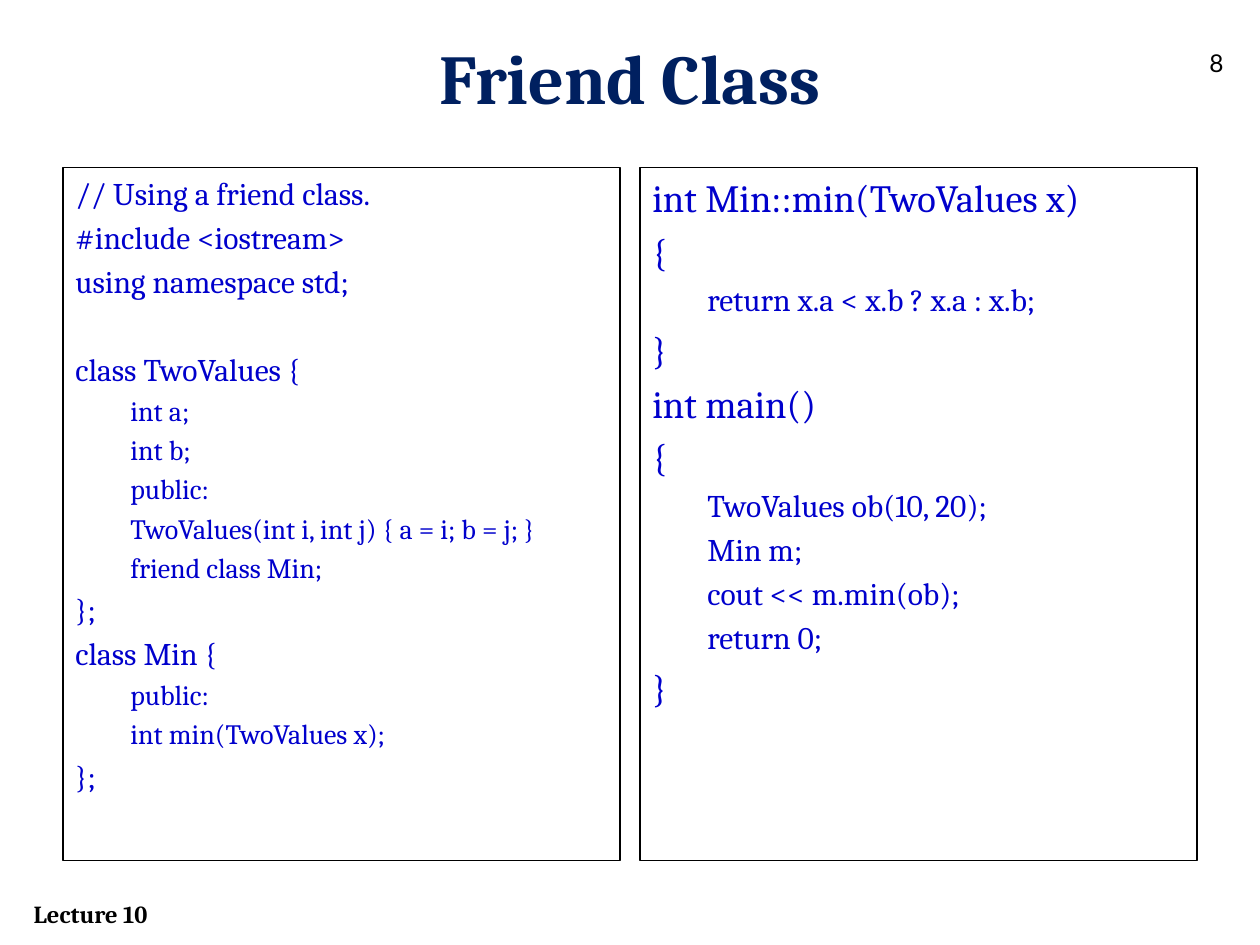
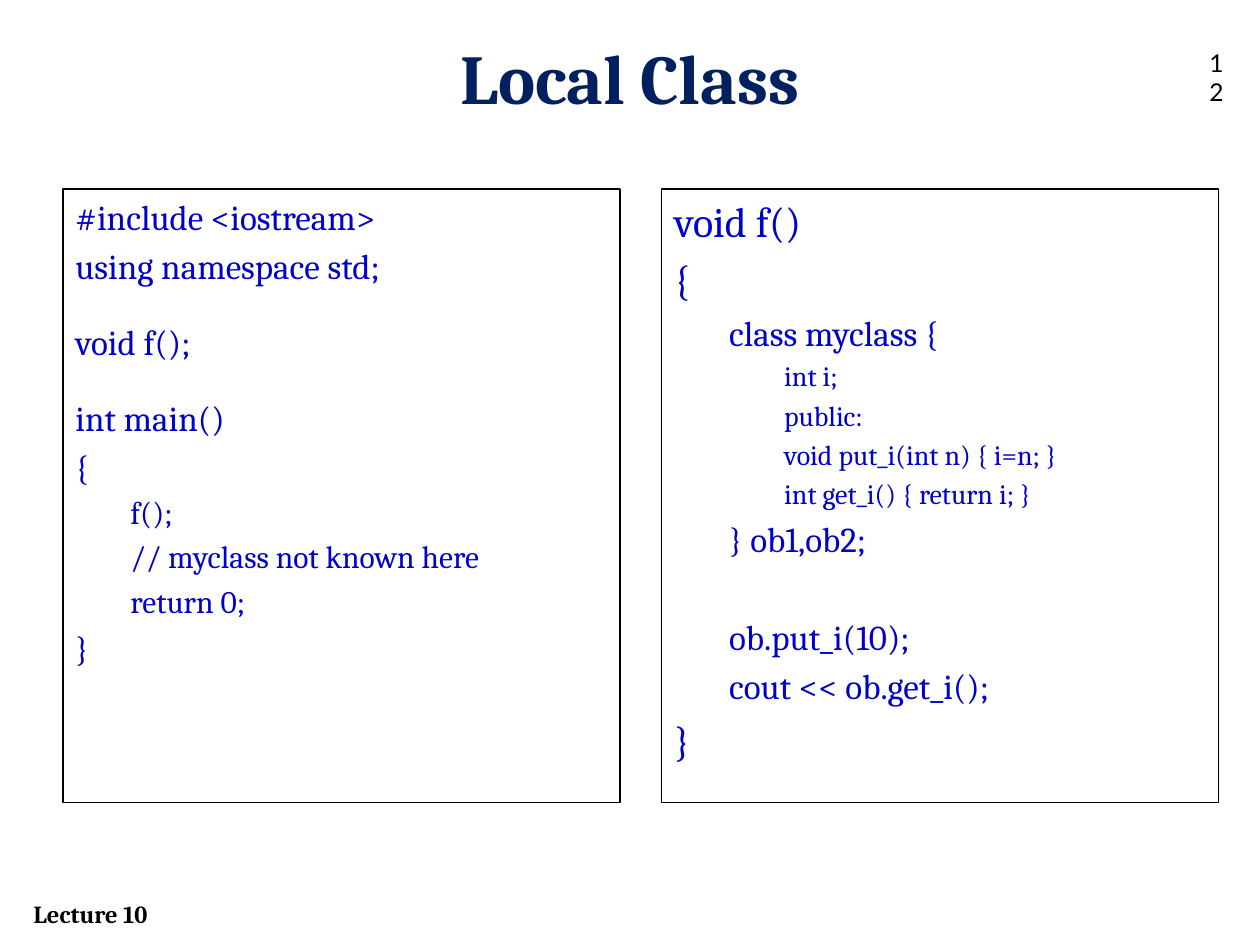
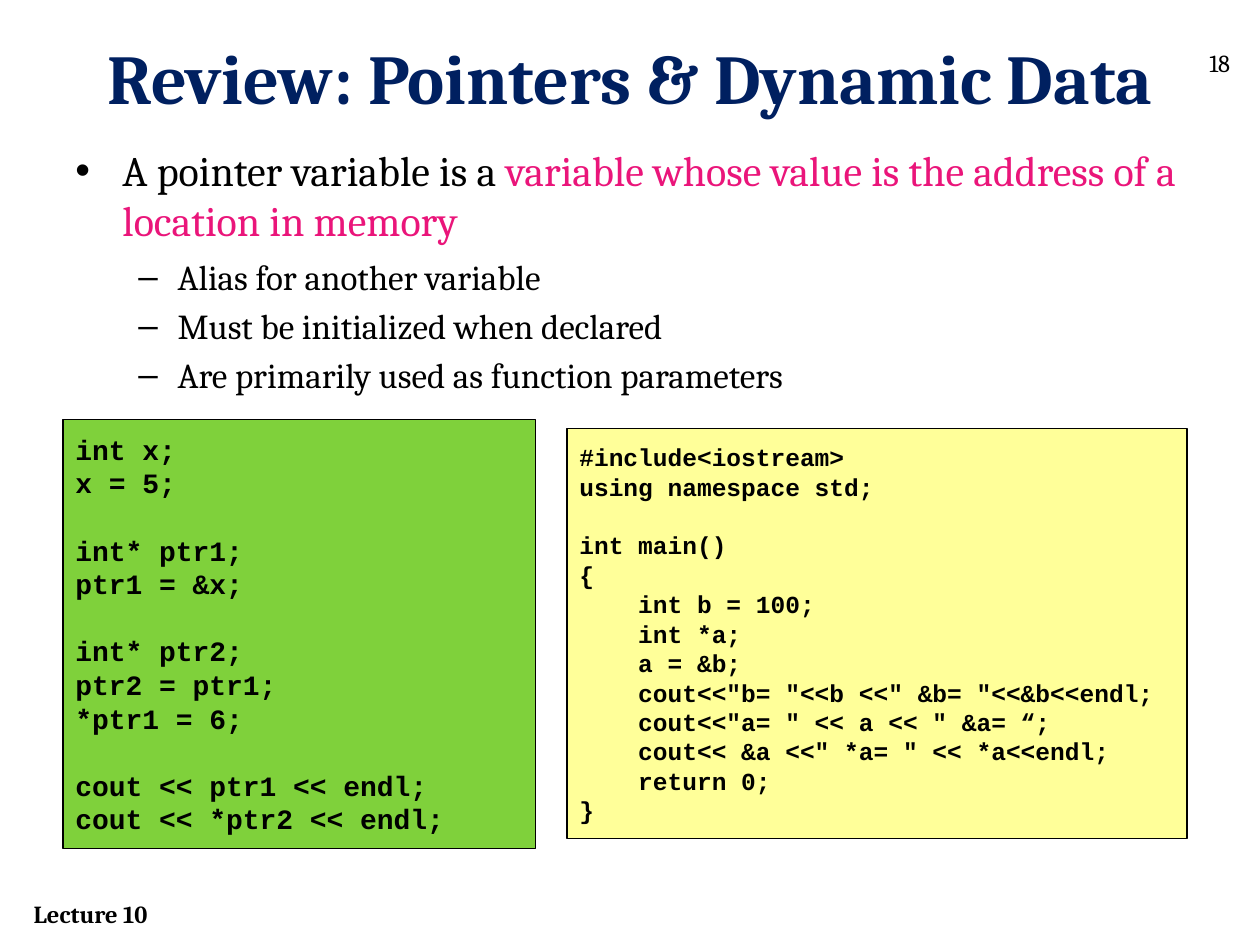
"""Builds three lecture slides on C++ classes and pointers."""
from lxml.etree import SubElement
from pptx import Presentation
from pptx.dml.color import RGBColor as Rgb
from pptx.enum.shapes import MSO_SHAPE as Preset
from pptx.enum.text import MSO_ANCHOR as Anchor, PP_ALIGN as Align
from pptx.oxml.ns import qn
from pptx.util import Cm, Pt

COLOURS = {
    "title": "002060",
    "code": "0000CC",
    "text": "000000",
    "accent": "EA157A",
    "green": "7FD13B",
    "yellow": "FFFF99",
}
SERIF, MONO, SANS = "Cambria", "Courier New", "Lato"
LINE_HEIGHT, PARAGRAPH_GAP = 1.2, 0.2
LEVEL_INDENT = 1.11
MARGIN, CONTENT_WIDTH = 1.27, 22.86
PANEL_WIDTH = 11.23

FRIEND_CLASS = """\
// Using a friend class.
#include <iostream>
using namespace std;

class TwoValues {
    int a;
    int b;
    public:
    TwoValues(int i, int j) { a = i; b = j; }
    friend class Min;
};
class Min {
    public:
    int min(TwoValues x);
};"""

FRIEND_USE = """\
int Min::min(TwoValues x)
{
    return x.a < x.b ? x.a : x.b;
}
int main()
{
    TwoValues ob(10, 20);
    Min m;
    cout << m.min(ob);
    return 0;
}"""

LOCAL_MAIN = """\
#include <iostream>
using namespace std;

void f();

int main()
{
    f();
    // myclass not known here
    return 0;
}"""

LOCAL_CLASS = """\
void f()
{
    class myclass {
        int i;
        public:
        void put_i(int n) { i=n; }
        int get_i() { return i; }
    } ob1,ob2;

    ob.put_i(10);
    cout << ob.get_i();
}"""

POINTER_STEPS = """\
int x;
x = 5;

int* ptr1;
ptr1 = &x;

int* ptr2;
ptr2 = ptr1;
*ptr1 = 6;

cout << ptr1 << endl;
cout << *ptr2 << endl;"""

POINTER_PROGRAM = """\
#include<iostream>
using namespace std;

int main()
{
    int b = 100;
    int *a;
    a = &b;
    cout<<"b= "<<b <<" &b= "<<&b<<endl;
    cout<<"a= " << a << " &a= “;
    cout<< &a <<" *a= " << *a<<endl;
    return 0;
}"""


class Deck:
    """Holds the lecture style and the current slide."""

    def __init__(self):
        self.show = Presentation()
        self.show.slide_width, self.show.slide_height = Cm(25.4), Cm(19.05)
        self.slide = None

    def new_slide(self, title, number, number_font=SANS):
        self.slide = self.show.slides.add_slide(self.show.slide_layouts[6])
        self.label("Lecture 10", (0.43, 18, 5.08, 0.86), 14, bold=True)
        self.label(number, (24.13, 0.84, 1.07, 1.02), 14, number_font)
        heading = self.label(title, (MARGIN, 0.58, CONTENT_WIDTH, 1.96), 40,
                             colour="title", bold=True)
        heading.alignment = Align.CENTER

    def style(self, font, size, face=SERIF, colour="text", bold=False):
        font.name, font.size, font.bold = face, Pt(size), bold
        font.color.rgb = Rgb.from_string(COLOURS[colour])

    def text_frame(self, place):
        frame = self.slide.shapes.add_textbox(*map(Cm, place)).text_frame
        frame.word_wrap = True
        return frame

    def label(self, text, place, size, face=SERIF, colour="text", bold=False):
        paragraph = self.text_frame(place).paragraphs[0]
        paragraph.text = text
        self.style(paragraph.font, size, face, colour, bold)
        return paragraph

    def next_paragraph(self, frame, space_before):
        if not frame.paragraphs[0].runs:
            return frame.paragraphs[0]
        paragraph = frame.add_paragraph()
        paragraph.space_before = Pt(space_before)
        return paragraph

    def indent(self, paragraph, left, first=0, bullet=None):
        properties = paragraph._p.get_or_add_pPr()
        properties.set("marL", str(Cm(left)))
        properties.set("indent", str(Cm(first)))
        if bullet:
            SubElement(properties, qn("a:buFont")).set("typeface", "Arial")
            SubElement(properties, qn("a:buChar")).set("char", bullet)

    def panel(self, place, fill=None, anchor=Anchor.TOP):
        panel = self.slide.shapes.add_shape(Preset.RECTANGLE, *map(Cm, place))
        panel.shadow.inherit = False
        if fill:
            panel.fill.solid()
            panel.fill.fore_color.rgb = Rgb.from_string(COLOURS[fill])
        else:
            panel.fill.background()
        panel.line.color.rgb = Rgb.from_string(COLOURS["text"])
        panel.line.width = Pt(0.75)
        panel.text_frame.word_wrap = True
        panel.text_frame.vertical_anchor = anchor
        return panel.text_frame

    def outline_code(self, code, place, sizes, blank_size=None):
        frame = self.panel(place)
        blank = False
        for line in code.splitlines():
            if not line:
                blank = True
                continue
            text = line.lstrip()
            level = (len(line) - len(text)) // 4
            size = sizes[level]
            gap = PARAGRAPH_GAP * size
            if blank:
                gap += (LINE_HEIGHT + PARAGRAPH_GAP) * (blank_size or size)
            paragraph = self.next_paragraph(frame, gap)
            paragraph.text = text
            paragraph.alignment = Align.LEFT
            self.indent(paragraph, level * LEVEL_INDENT)
            self.style(paragraph.font, size, colour="code")
            blank = False

    def mono_code(self, code, place, size, fill):
        frame = self.panel(place, fill, Anchor.MIDDLE)
        for block in code.split("\n\n"):
            for row, line in enumerate(block.splitlines()):
                gap = 0 if row else LINE_HEIGHT * size
                paragraph = self.next_paragraph(frame, gap)
                paragraph.text = line
                paragraph.alignment = Align.LEFT
                self.style(paragraph.font, size, MONO, bold=True)

    def pointer_notes(self, lead, definition, details, place):
        frame = self.text_frame(place)
        summary = frame.paragraphs[0]
        self.indent(summary, 0.95, -0.95, "•")
        for text, colour in ((lead, "text"), (definition, "accent")):
            run = summary.add_run()
            run.text = text
            self.style(run.font, 24, colour=colour)
        for position, detail in enumerate(details):
            paragraph = self.next_paragraph(frame, 4 if position else 6)
            paragraph.text = detail
            self.indent(paragraph, 2.06, -0.79, "–")
            self.style(paragraph.font, 20)


def main():
    deck = Deck()

    deck.new_slide("Friend Class", "8")
    top, height = 3.38, 13.97
    deck.outline_code(FRIEND_CLASS, (MARGIN, top, PANEL_WIDTH, height), (18, 16))
    deck.outline_code(FRIEND_USE, (12.9, top, PANEL_WIDTH, height), (22, 18))

    deck.new_slide("Local Class", "12")
    top, height = 3.81, 12.37
    deck.outline_code(LOCAL_MAIN, (MARGIN, top, PANEL_WIDTH, height), (20, 18),
                      blank_size=11)
    deck.outline_code(LOCAL_CLASS, (13.34, top, PANEL_WIDTH, height), (24, 20, 16))

    deck.new_slide("Review: Pointers & Dynamic Data", "18", SERIF)
    deck.mono_code(POINTER_STEPS, (MARGIN, 8.46, 9.53, 8.64), 16, "green")
    deck.pointer_notes(
        "A pointer variable is a ",
        "variable whose value is the address of a location in memory",
        ("Alias for another variable",
         "Must be initialized when declared",
         "Are primarily used as function parameters"),
        (MARGIN, 2.79, CONTENT_WIDTH, 4.78))
    deck.mono_code(POINTER_PROGRAM, (11.43, 8.64, 12.5, 8.26), 14, "yellow")

    deck.show.save("out.pptx")


if __name__ == "__main__":
    main()
